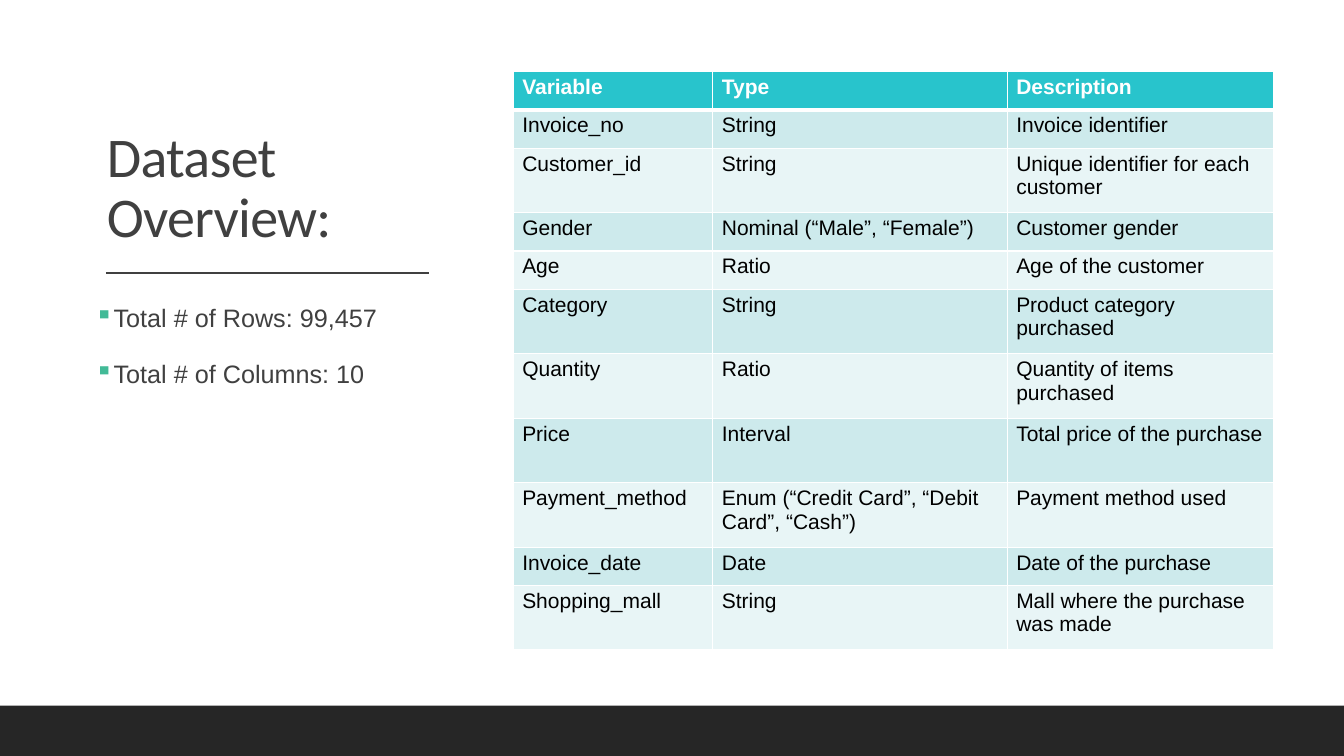
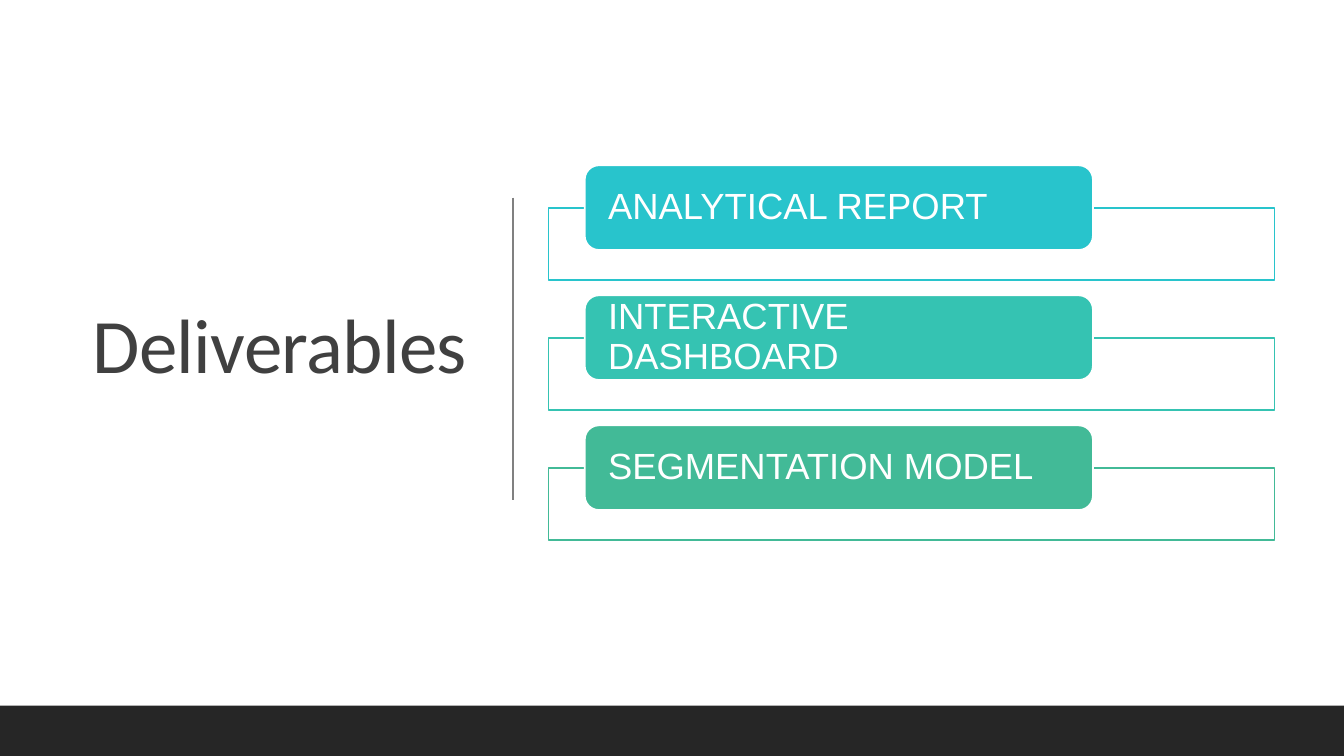
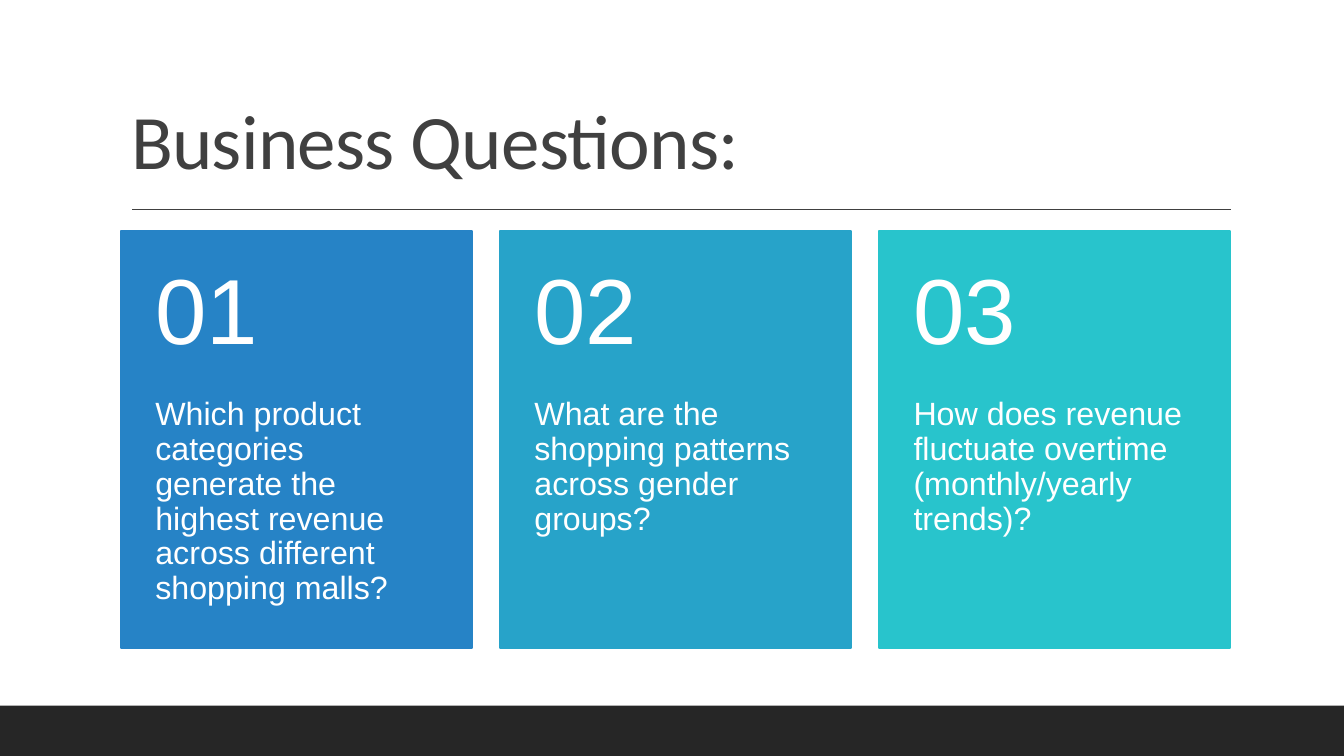
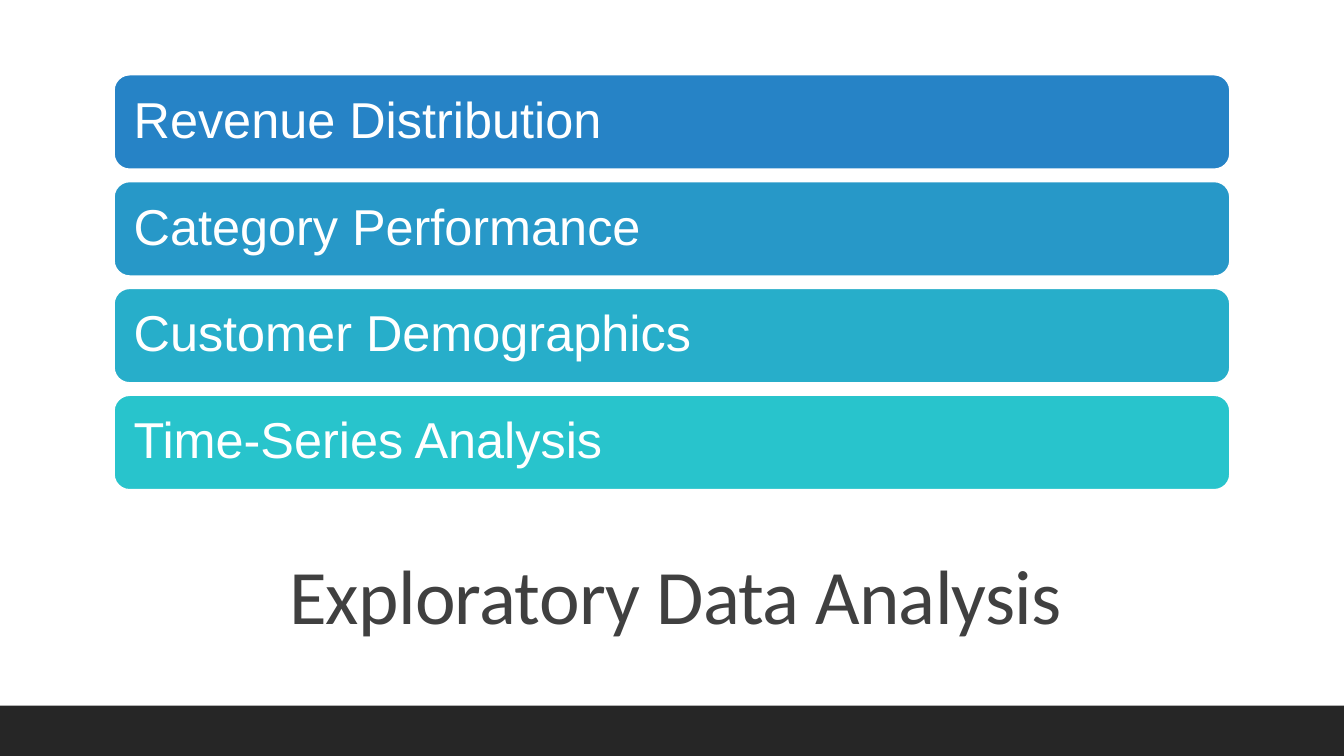
from lxml.etree import SubElement
from pptx import Presentation
from pptx.dml.color import RGBColor
from pptx.enum.shapes import MSO_CONNECTOR, MSO_SHAPE
from pptx.enum.text import MSO_ANCHOR, MSO_AUTO_SIZE, PP_ALIGN
from pptx.oxml.ns import qn
from pptx.util import Inches, Pt

COLORS = {
    "white": "FFFFFF", "black": "000000", "text": "404040", "rule": "808080", "band": "262626",
    "blue": "2683C6", "steel": "2798C8", "sky": "27A3C9", "lagoon": "27AECA",
    "cyan": "28C4CC", "teal": "35C3B2", "green": "42BA97",
    "row dark": "CDEAEC", "row light": "E8F5F6",
}
TITLE_FONT, BODY_FONT = "Calibri", "Arial"
WIDTH, HEIGHT, BAND_HEIGHT = 13.33, 7.5, 0.5
TITLE_ONLY = 5


def rgb(name):
    return RGBColor.from_string(COLORS[name])


class Deck:
    def __init__(self):
        self.presentation = Presentation()
        self.presentation.slide_width = Inches(WIDTH)
        self.presentation.slide_height = Inches(HEIGHT)
        self.slide = None

    def new_slide(self, title, box, size=55, anchor=MSO_ANCHOR.BOTTOM, align=PP_ALIGN.LEFT):
        """Start a slide with its title and the dark band at the foot."""
        layout = self.presentation.slide_layouts[TITLE_ONLY]
        self.slide = self.presentation.slides.add_slide(layout)
        shape = self.slide.shapes.title
        shape.left, shape.top, shape.width, shape.height = map(Inches, box)
        frame = self.frame(shape, anchor, (0.1, 0.05, 0.1, 0.05))
        run = self.add_text(frame.paragraphs[0], title, size, "text", TITLE_FONT, align)
        run._r.get_or_add_rPr().set("spc", "-50")
        self.shape((0, HEIGHT - BAND_HEIGHT, WIDTH, BAND_HEIGHT), "band")

    def frame(self, shape, anchor, insets):
        """Set wrapping, anchor and insets (left, top, right, bottom)."""
        frame = shape.text_frame
        frame.word_wrap = True
        frame.auto_size = MSO_AUTO_SIZE.NONE
        frame.vertical_anchor = anchor
        (frame.margin_left, frame.margin_top,
         frame.margin_right, frame.margin_bottom) = map(Inches, insets)
        return frame

    def add_text(self, paragraph, text, size, color="white", font=BODY_FONT,
                 align=PP_ALIGN.LEFT, spacing=0.9, bold=False):
        paragraph.alignment = align
        paragraph.line_spacing = spacing
        run = paragraph.add_run()
        run.text = text
        run.font.name = font
        run.font.size = Pt(size)
        run.font.bold = bold
        run.font.color.rgb = rgb(color)
        return run

    def shape(self, box, fill, line=None, kind=MSO_SHAPE.RECTANGLE):
        shape = self.slide.shapes.add_shape(kind, *map(Inches, box))
        shape.shadow.inherit = False
        shape.fill.solid()
        shape.fill.fore_color.rgb = rgb(fill)
        if line:
            shape.line.color.rgb = rgb(line)
            shape.line.width = Pt(1.25)
        else:
            shape.line.fill.background()
        return shape

    def pill(self, box, fill, text, size, insets):
        shape = self.shape(box, fill, "white", MSO_SHAPE.ROUNDED_RECTANGLE)
        frame = self.frame(shape, MSO_ANCHOR.MIDDLE, insets)
        self.add_text(frame.paragraphs[0], text, size)

    def card(self, box, fill, number, question):
        left, top, width, _ = box
        number_height = 1.66
        shape = self.shape(box, fill, fill)
        frame = self.frame(shape, MSO_ANCHOR.TOP, (0.34, number_height, 0.34, 0.36))
        self.add_text(frame.paragraphs[0], question, 23)
        number_box = self.slide.shapes.add_textbox(*map(Inches, (left, top, width, number_height)))
        frame = self.frame(number_box, MSO_ANCHOR.MIDDLE, (0.34, 0.18, 0.34, 0.18))
        self.add_text(frame.paragraphs[0], number, 66)

    def rule(self, start, end, color="text"):
        line = self.slide.shapes.add_connector(MSO_CONNECTOR.STRAIGHT, *map(Inches, start + end))
        line.line.color.rgb = rgb(color)
        line.line.width = Pt(1)
        SubElement(line._element.spPr, qn("a:effectLst"))

    def bullets(self, box, items):
        text_box = self.slide.shapes.add_textbox(*map(Inches, box))
        frame = self.frame(text_box, MSO_ANCHOR.TOP, (0, 0.05, 0, 0.05))
        for index, item in enumerate(items):
            paragraph = frame.add_paragraph() if index else frame.paragraphs[0]
            paragraph.space_before = Pt(12 if index else 0)
            paragraph.space_after = Pt(2)
            properties = paragraph._p.get_or_add_pPr()
            properties.set("marL", str(Inches(0.17)))
            properties.set("indent", str(Inches(-0.17)))
            bullet_color = SubElement(properties, qn("a:buClr"))
            SubElement(bullet_color, qn("a:srgbClr"), val=COLORS["green"])
            SubElement(properties, qn("a:buChar"), char="▪")
            self.add_text(paragraph, item, 18, "text", spacing=1.2)

    def table(self, left, top, widths, heights, rows):
        box = (left, top, sum(widths), sum(heights))
        table = self.slide.shapes.add_table(len(rows), len(widths), *map(Inches, box)).table
        for column, width in zip(table.columns, widths):
            column.width = Inches(width)
        for index, (row, height, texts) in enumerate(zip(table.rows, heights, rows)):
            row.height = Inches(height)
            header = index == 0
            fill = "cyan" if header else "row dark" if index % 2 else "row light"
            for cell, text in zip(row.cells, texts):
                cell.margin_left = cell.margin_right = Inches(0.09)
                cell.margin_top = cell.margin_bottom = Inches(0.04)
                self.borders(cell, top=3 if index == 1 else 1, bottom=3 if header else 1)
                cell.fill.solid()
                cell.fill.fore_color.rgb = rgb(fill)
                self.add_text(cell.text_frame.paragraphs[0], text, 15,
                              "white" if header else "black", spacing=1.0, bold=header)

    def borders(self, cell, top, bottom):
        """Draw white cell borders; call before the fill is set."""
        properties = cell._tc.get_or_add_tcPr()
        for side, width in (("L", 1), ("R", 1), ("T", top), ("B", bottom)):
            line = SubElement(properties, qn("a:ln" + side), w=str(Pt(width)))
            fill = SubElement(line, qn("a:solidFill"))
            SubElement(fill, qn("a:srgbClr"), val=COLORS["white"])


def dataset_overview(deck):
    deck.new_slide("Dataset Overview:", (0.96, 0.7, 3.48, 1.83), size=40)
    deck.rule((1.05, 2.71), (4.25, 2.71))
    deck.bullets((0.94, 2.89, 3.51, 3.53),
                 ["Total # of Rows: 99,457", "Total # of Columns: 10"])
    rows = [
        ("Variable", "Type", "Description"),
        ("Invoice_no", "String", "Invoice identifier"),
        ("Customer_id", "String", "Unique identifier for each customer"),
        ("Gender", "Nominal (“Male”, “Female”)", "Customer gender"),
        ("Age", "Ratio", "Age of the customer"),
        ("Category", "String", "Product category purchased"),
        ("Quantity", "Ratio", "Quantity of items purchased"),
        ("Price", "Interval", "Total price of the purchase"),
        ("Payment_method", "Enum (“Credit Card”, “Debit Card”, “Cash”)", "Payment method used"),
        ("Invoice_date", "Date", "Date of the purchase"),
        ("Shopping_mall", "String", "Mall where the purchase was made"),
    ]
    tall_rows = {2, 5, 6, 7, 8, 10}
    heights = [0.64 if index in tall_rows else 0.38 for index in range(len(rows))]
    deck.table(5.09, 0.71, (1.98, 2.92, 2.64), heights, rows)


def deliverables(deck):
    deck.new_slide("Deliverables", (0.7, 0.69, 4.03, 5.53),
                   anchor=MSO_ANCHOR.MIDDLE, align=PP_ALIGN.RIGHT)
    deck.rule((5.09, 1.96), (5.09, 4.96), "rule")
    items = [("ANALYTICAL REPORT", "cyan"), ("INTERACTIVE DASHBOARD", "teal"),
             ("SEGMENTATION MODEL", "green")]
    for index, (text, color) in enumerate(items):
        top = 1.64 + index * 1.29
        deck.shape((5.44, top + 0.42, 7.2, 0.72), "white", color)
        deck.pill((5.8, top, 5.04, 0.84), color, text, 26, (0.19, 0, 0.19, 0))


def business_questions(deck):
    deck.new_slide("Business Questions:", (1.2, 0.31, 11, 1.59))
    deck.rule((1.31, 2.08), (12.21, 2.08))
    questions = [
        ("Which product categories generate the highest revenue across different shopping malls?",
         "blue"),
        ("What are the shopping patterns across gender groups?", "sky"),
        ("How does revenue fluctuate overtime (monthly/yearly trends)?", "cyan"),
    ]
    for index, (question, color) in enumerate(questions):
        deck.card((1.2 + index * 3.76, 2.29, 3.48, 4.14), color, f"{index + 1:02}", question)


def exploratory_analysis(deck):
    deck.new_slide("Exploratory Data Analysis", (1.2, 5.3, 11, 1.3),
                   anchor=MSO_ANCHOR.MIDDLE, align=PP_ALIGN.CENTER)
    topics = [("Revenue Distribution", "blue"), ("Category Performance", "steel"),
              ("Customer Demographics", "lagoon"), ("Time-Series Analysis", "cyan")]
    for index, (text, color) in enumerate(topics):
        deck.pill((1.13, 0.74 + index * 1.06, 11.07, 0.94), color, text, 36, (0.15,) * 4)


def main():
    deck = Deck()
    for build in (dataset_overview, deliverables, business_questions, exploratory_analysis):
        build(deck)
    deck.presentation.save("out.pptx")


if __name__ == "__main__":
    main()
